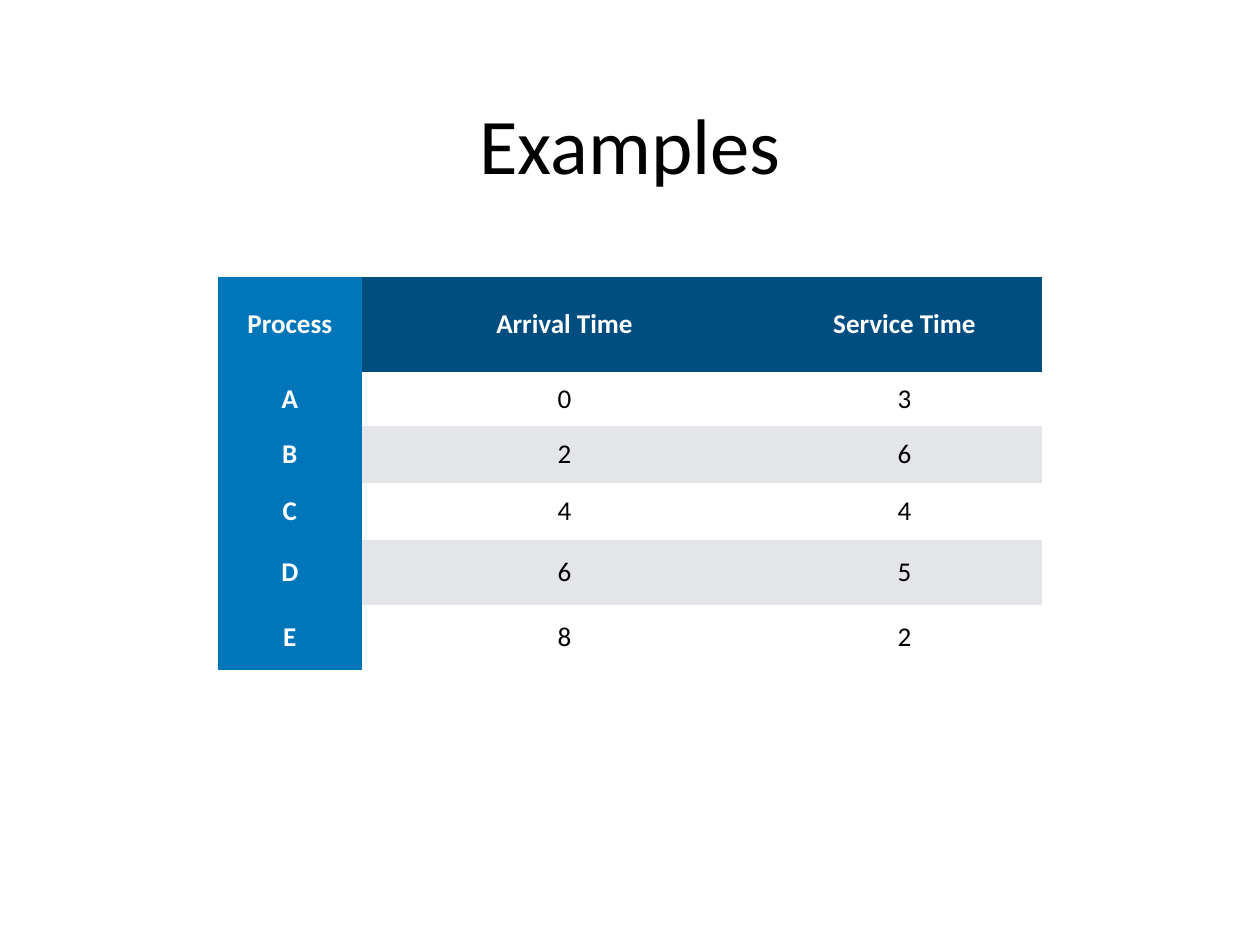
"""Build a slide with a table of process arrival and service times."""
from dataclasses import dataclass

from pptx import Presentation
from pptx.dml.color import RGBColor as Rgb
from pptx.enum.text import MSO_ANCHOR as Anchor, PP_ALIGN as Align
from pptx.oxml.ns import qn
from pptx.slide import Slide
from pptx.text.text import _Paragraph as Para
from pptx.util import Pt

INK = {
    "black": "000000",
    "white": "FFFFFF",
    "navy": "004D80",
    "blue": "0076BA",
    "gray": "E3E5E8",
}
FONT = "Calibri"
INSET = Pt(4)
PLAIN = "{2D5ABB26-0587-4C30-8999-92F81FD0307C}"


@dataclass
class Row:
    high: float
    texts: tuple[str, str, str]
    fill: str


WIDTHS = (117, 329.5, 223)
ROWS = (
    Row(77, ("Process", "Arrival Time", "Service Time"), "navy"),
    Row(44.3, ("A", "0", "3"), "white"),
    Row(46, ("B", "2", "6"), "gray"),
    Row(46.5, ("C", "4", "4"), "white"),
    Row(53, ("D", "6", "5"), "gray"),
    Row(53, ("E", "8", "2"), "white"),
)


def color(name: str) -> Rgb:
    return Rgb.from_string(INK[name])


def write(para: Para, text: str, size: float, ink: str, bold: bool = False) -> None:
    para.text = text
    para.alignment = Align.CENTER
    font = para.font
    font.name, font.size, font.bold = FONT, Pt(size), bold
    font.color.rgb = color(ink)


def add_title(slide: Slide, text: str) -> None:
    box = slide.shapes.add_textbox(Pt(100), Pt(20), Pt(824), Pt(192))
    frame = box.text_frame
    frame.word_wrap = True
    frame.vertical_anchor = Anchor.MIDDLE
    frame.margin_left = frame.margin_right = INSET
    frame.margin_top = frame.margin_bottom = INSET
    write(frame.paragraphs[0], text, 64, "black")


def add_times(slide: Slide) -> None:
    high = sum(row.high for row in ROWS)
    frame = slide.shapes.add_table(
        len(ROWS), len(WIDTHS), Pt(177), Pt(225), Pt(sum(WIDTHS)), Pt(high)
    )
    table = frame.table
    table.first_row = table.horz_banding = False
    for style in frame._element.iter(qn("a:tableStyleId")):
        style.text = PLAIN
    for col, width in zip(table.columns, WIDTHS):
        col.width = Pt(width)
    for r, row in enumerate(ROWS):
        table.rows[r].height = Pt(row.high)
        for c, text in enumerate(row.texts):
            cell = table.cell(r, c)
            cell.fill.solid()
            cell.fill.fore_color.rgb = color(row.fill if c else "blue")
            cell.vertical_anchor = Anchor.MIDDLE
            cell.margin_left = cell.margin_right = INSET
            cell.margin_top = cell.margin_bottom = INSET
            head = r == 0 or c == 0
            ink = "white" if head else "black"
            write(cell.text_frame.paragraphs[0], text, 22, ink, head)


def main() -> None:
    deck = Presentation()
    deck.slide_width, deck.slide_height = Pt(1024), Pt(768)
    slide = deck.slides.add_slide(deck.slide_layouts[6])
    add_title(slide, "Examples")
    add_times(slide)
    deck.save("out.pptx")


if __name__ == "__main__":
    main()
